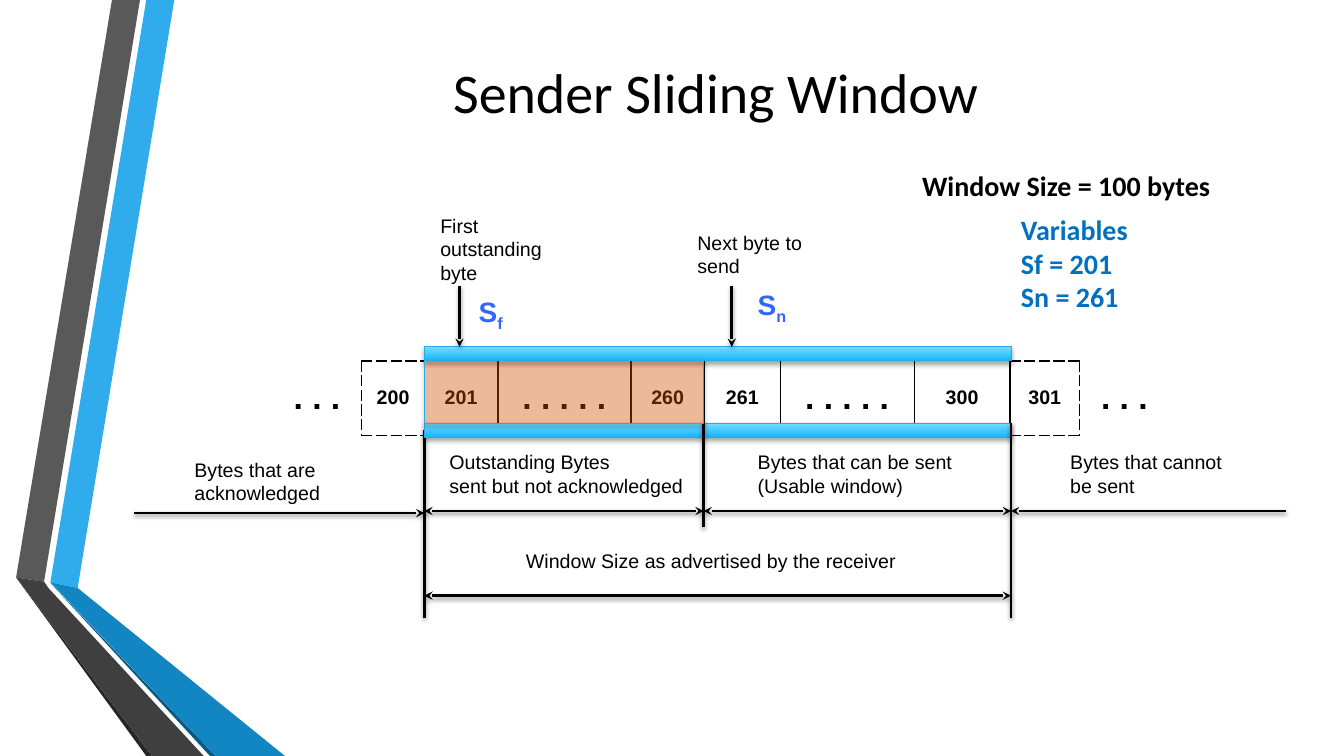
from lxml import etree
from pptx import Presentation
from pptx.dml.color import RGBColor
from pptx.enum.shapes import MSO_CONNECTOR, MSO_SHAPE
from pptx.enum.text import MSO_ANCHOR, PP_ALIGN
from pptx.oxml.ns import qn
from pptx.util import Pt

RECT = MSO_SHAPE.RECTANGLE
LINE = MSO_CONNECTOR.STRAIGHT
MID = MSO_ANCHOR.MIDDLE
TOP = MSO_ANCHOR.TOP
LEFT = PP_ALIGN.LEFT
MAIN = PP_ALIGN.CENTER

HUES = {
    "black": "000000", "sky": "30ACEC", "gray": "595959", "coal": "262626",
    "navy": "0B5982", "blue": "1186C3", "slate": "3F3F3F", "deep": "13B5FF",
    "pale": "73DCFF", "edge": "29A9EA", "amber": "FF6600", "note": "0070C0",
    "mark": "3366FF",
}


def hue(name):
    return RGBColor.from_string(HUES[name])


def node(parent, tag, **attrs):
    return etree.SubElement(parent, qn(tag), attrs)


class Board:
    def __init__(self, slide, font="Arial", size=14, weight=2):
        self.shapes = slide.shapes
        self.font = font
        self.size = size
        self.weight = weight

    def style(self, para, size=None, color="black", bold=False, font=None):
        for run in para.runs:
            run.font.name = font or self.font
            run.font.size = Pt(size or self.size)
            run.font.bold = bold
            run.font.color.rgb = hue(color)

    def shade(self, shape, alpha, dist):
        props = shape._element.spPr
        for old in props.findall(qn("a:effectLst")):
            props.remove(old)
        glow = node(node(props, "a:effectLst"), "a:outerShdw",
                    blurRad=str(Pt(3.1)), dist=str(Pt(dist)), dir="5400000",
                    algn="ctr", rotWithShape="0")
        tint = node(glow, "a:srgbClr", val=HUES["black"])
        node(tint, "a:alpha", val=str(alpha * 1000))

    def text(self, x, y, w, h, words, sub="", align=LEFT, anchor=TOP, **look):
        frame = self.shapes.add_textbox(Pt(x), Pt(y), Pt(w), Pt(h)).text_frame
        frame.word_wrap = True
        frame.vertical_anchor = anchor
        frame.text = words
        if sub:
            run = frame.paragraphs[0].add_run()
            run.text = sub
            run._r.get_or_add_rPr().set("baseline", "-25000")
        for para in frame.paragraphs:
            para.alignment = align
            self.style(para, **look)

    def line(self, x1, y1, x2, y2, head=False, tail=False):
        link = self.shapes.add_connector(LINE, Pt(x1), Pt(y1), Pt(x2), Pt(y2))
        link.line.color.rgb = hue("black")
        link.line.width = Pt(self.weight)
        pen = link.line._get_or_add_ln()
        for tag, show in (("a:headEnd", head), ("a:tailEnd", tail)):
            if show:
                node(pen, tag, type="stealth")
        self.shade(link, 38, 1.6)

    def rect(self, x, y, w, h, color=None, alpha=100):
        box = self.shapes.add_shape(RECT, Pt(x), Pt(y), Pt(w), Pt(h))
        if color:
            box.fill.solid()
            box.fill.fore_color.rgb = hue(color)
            tint = box._element.spPr.find(qn("a:solidFill"))[0]
            node(tint, "a:alpha", val=str(alpha * 1000))
        else:
            box.fill.gradient()
            box.fill.gradient_angle = 90
            for stop, name in zip(box.fill.gradient_stops, ("deep", "pale")):
                stop.color.rgb = hue(name)
        box.line.color.rgb = hue("edge")
        box.line.width = Pt(0.75)
        self.shade(box, 35, 1.8)

    def band(self, color, points):
        spots = [(Pt(x), Pt(y)) for x, y in points]
        path = self.shapes.build_freeform(*spots[0], scale=1)
        path.add_line_segments(spots[1:], close=True)
        shape = path.convert_to_shape()
        shape.shadow.inherit = False
        shape.fill.solid()
        shape.fill.fore_color.rgb = hue(color)
        shape.line.fill.background()

    def edge(self, cell, side, kind):
        pen = node(cell._tc.get_or_add_tcPr(), "a:ln" + side, w=str(Pt(1)))
        if kind:
            node(node(pen, "a:solidFill"), "a:srgbClr", val=HUES["black"])
            node(pen, "a:prstDash", val=kind)
        else:
            node(pen, "a:noFill")

    def table(self, x, y, h, cells):
        total = sum(width for _, width, _ in cells)
        grid = self.shapes.add_table(
            1, len(cells), Pt(x), Pt(y), Pt(total), Pt(h)).table
        grid.first_row = False
        grid.horz_banding = False
        grid.rows[0].height = Pt(h)
        for i, (words, width, kinds) in enumerate(cells):
            grid.columns[i].width = Pt(width)
            cell = grid.cell(0, i)
            cell.vertical_anchor = MID
            for side, kind in zip("LRTB", kinds):
                self.edge(cell, side, kind)
            cell.fill.background()
            cell.text = words
            para = cell.text_frame.paragraphs[0]
            para.alignment = MAIN
            self.style(para, size=24 if "." in words else 14, bold=True)


def main():
    deck = Presentation()
    deck.slide_width = Pt(960)
    deck.slide_height = Pt(540)
    board = Board(deck.slides.add_slide(deck.slide_layouts[6]))

    bands = [
        ("sky", [(36, 416), (55.5, 420), (124.5, 0), (104.5, 0)]),
        ("gray", [(100, 0), (80, 0), (11.5, 412.5), (31.5, 415.5)]),
        ("coal", [(11.5, 412.5), (104.5, 540), (108.5, 540)]),
        ("navy", [(36, 416.5), (150, 540), (154, 540)]),
        ("blue", [(36, 416), (154, 540), (203.5, 540), (55.5, 420)]),
        ("slate", [(145.5, 540), (34.5, 420), (31.5, 415.5), (11.5, 412.5),
                   (108.5, 540)]),
    ]
    for color, points in bands:
        board.band(color, points)

    dash, solid = "dash", "solid"
    inner = (solid, solid, None, None)
    cells = [
        (". . .", 64.1, (None, dash, None, None)),
        ("200", 44.6, (dash, solid, dash, dash)),
        ("201", 52.6, inner),
        (". . . . .", 95, inner),
        ("260", 52.6, inner),
        ("261", 54, inner),
        (". . . . .", 95.8, inner),
        ("300", 68.4, inner),
        ("301", 49.7, (solid, dash, dash, dash)),
        (". . .", 64.1, (dash, None, None, None)),
    ]
    board.table(194.4, 257.8, 53, cells)

    start, split, end = 303.1, 502.6, 722.2
    roof, floor, base = 247.7, 302.4, 441.4
    board.line(start, 307.4, start, base)
    for y in (roof, floor):
        board.rect(start, y, end - start, 10.1)
    board.line(end, floor, end, base)
    board.line(split, floor, split, 376.6)
    board.rect(start, 257.8, split - start, 44.6, "amber", 32)

    for x1, x2, y, head in (
        (start, end, 425.5, True),
        (start, split, 365, True),
        (split, end, 365, True),
        (918.7, end, 365, False),
        (95.8, start, 366.5, False),
    ):
        board.line(x1, y, x2, y, head, True)
    for x in (328.3, 522.7):
        board.line(x, 204.5, x, roof, tail=True)

    for x, y, w, h, words in (
        (131.8, 323.3, 125.3, 41, "Bytes that are acknowledged"),
        (313.9, 318.2, 207.4, 41,
         "Outstanding Bytes\nsent but not acknowledged"),
        (534.2, 318.2, 169.9, 41, "Bytes that can be sent (Usable window)"),
        (757.4, 318.2, 125.3, 41, "Bytes that cannot be sent"),
        (368.6, 388.8, 328.3, 24.5,
         "Window Size as advertised by the receiver"),
        (307.4, 149, 95, 58.3, "First outstanding byte"),
        (491, 161.3, 95, 41, "Next byte to send"),
    ):
        board.text(x, y, w, h, words)
    for x, y, sub in ((334.8, 206.6, "f"), (534.2, 201.6, "n")):
        board.text(x, y, 38.9, 31.7, "S", sub, size=20, color="mark",
                   bold=True)

    board.text(651.6, 116.6, 277.9, 31.7, "Window Size = 100 bytes",
               size=20, bold=True, font="Calibri")
    board.text(722.2, 148.3, 197.3, 79.9, "Variables\nSf = 201\nSn = 261",
               size=20, color="note", bold=True, font="Calibri")
    board.text(116.6, 28.8, 789.1, 72, "Sender Sliding Window", align=MAIN,
               anchor=MID, size=40, font="Calibri")

    deck.save("out.pptx")


if __name__ == "__main__":
    main()
